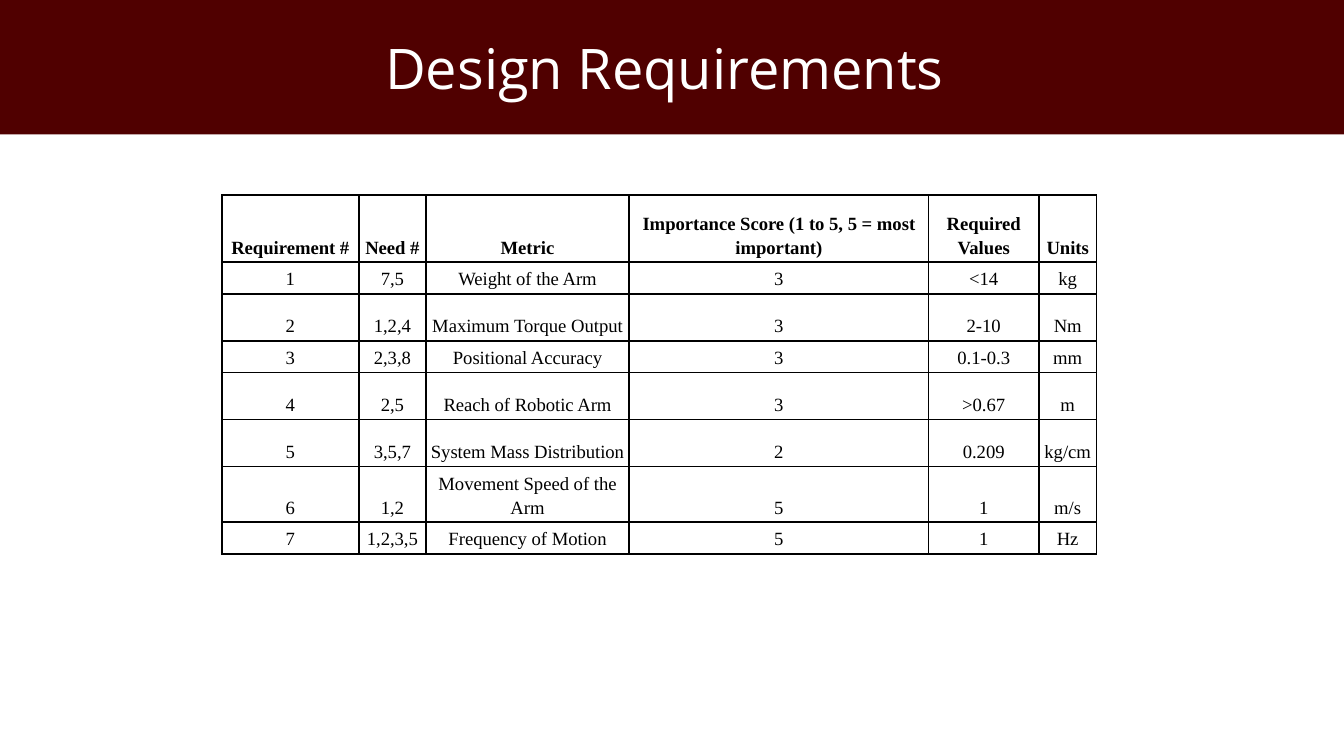
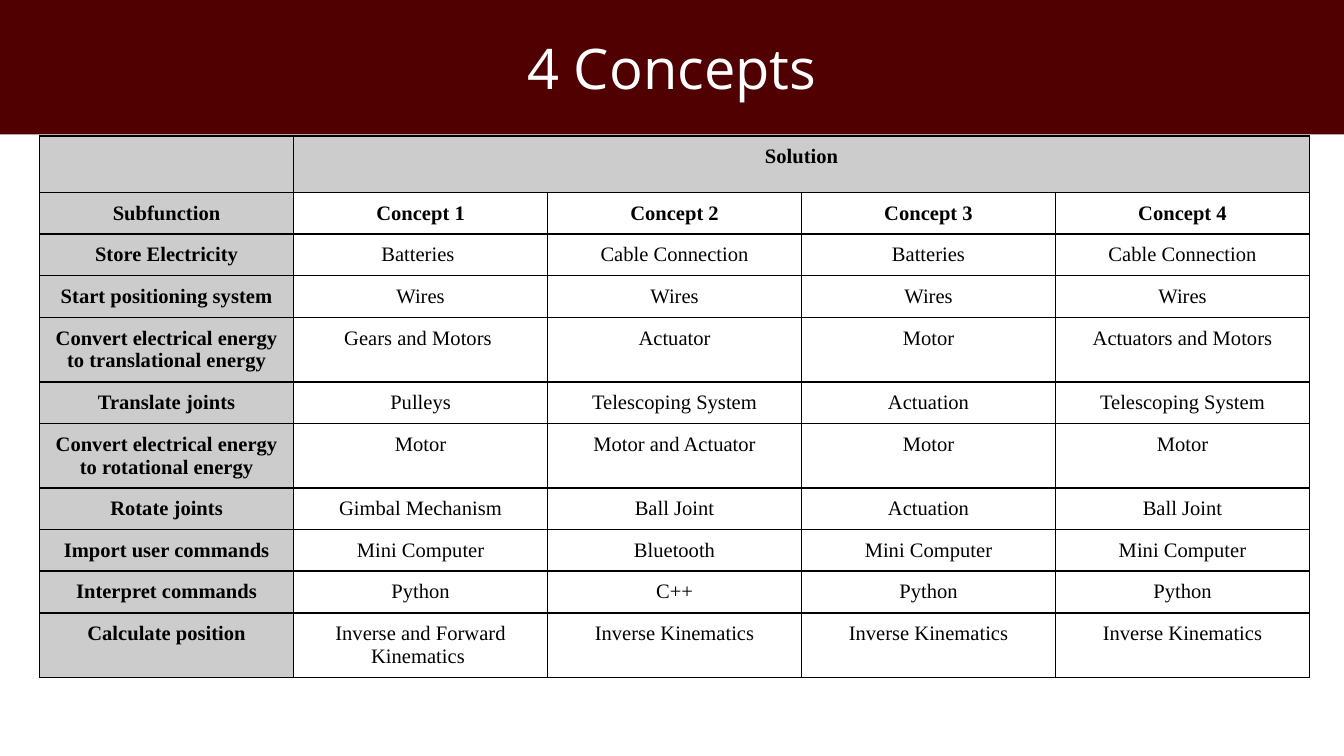
from dataclasses import dataclass

from lxml import etree
from pptx import Presentation
from pptx.dml.color import RGBColor
from pptx.enum.text import MSO_ANCHOR, MSO_AUTO_SIZE, PP_ALIGN
from pptx.oxml.ns import qn
from pptx.util import Inches, Pt

CENTER = PP_ALIGN.CENTER
TOP, MIDDLE, BOTTOM = MSO_ANCHOR.TOP, MSO_ANCHOR.MIDDLE, MSO_ANCHOR.BOTTOM
NO_AUTOFIT = MSO_AUTO_SIZE.NONE
TITLE_ONLY = 5

SLIDE_WIDTH = Inches(10)
SLIDE_HEIGHT = SLIDE_WIDTH * 9 // 16
GRID_UNIT = SLIDE_WIDTH // 100  # square grid, 100 columns across the slide


@dataclass(frozen=True)
class Theme:
    maroon: RGBColor = RGBColor(0x50, 0x00, 0x00)
    white: RGBColor = RGBColor(0xFF, 0xFF, 0xFF)
    black: RGBColor = RGBColor(0x00, 0x00, 0x00)
    gray: RGBColor = RGBColor(0xCC, 0xCC, 0xCC)
    title_font: str = "Open Sans"
    table_font: str = "Times New Roman"
    title_size: int = 30
    band_rows: int = 10


@dataclass(frozen=True)
class TableStyle:
    """Text and border settings of one table; padding is in grid units."""
    size: int
    padding: float
    anchor: MSO_ANCHOR
    border: float
    line_spacing: float = 1.0


THEME = Theme()
REQUIREMENT_STYLE = TableStyle(10, 0.3, BOTTOM, 0.9, 1.15)
CONCEPT_STYLE = TableStyle(11, 0.7, TOP, 1)

REQUIREMENTS = [
    ("Requirement #", "Need #", "Metric",
     "Importance Score (1 to 5, 5 = most important)", "Required Values", "Units"),
    ("1", "7,5", "Weight of the Arm", "3", "<14", "kg"),
    ("2", "1,2,4", "Maximum Torque Output", "3", "2-10", "Nm"),
    ("3", "2,3,8", "Positional Accuracy", "3", "0.1-0.3", "mm"),
    ("4", "2,5", "Reach of Robotic Arm", "3", ">0.67", "m"),
    ("5", "3,5,7", "System Mass Distribution", "2", "0.209", "kg/cm"),
    ("6", "1,2", "Movement Speed of the Arm", "5", "1", "m/s"),
    ("7", "1,2,3,5", "Frequency of Motion", "5", "1", "Hz"),
]
REQUIREMENT_COLUMNS = [10.2, 5, 15.1, 22.3, 8.2, 4.3]
REQUIREMENT_ROWS = [5, 2.3, 3.5, 2.3, 3.5, 3.5, 4.1, 2.3]

CONCEPTS = [
    ("", "Solution", "", "", ""),
    ("Subfunction", "Concept 1", "Concept 2", "Concept 3", "Concept 4"),
    ("Store Electricity", "Batteries ", "Cable Connection", "Batteries",
     "Cable Connection"),
    ("Start positioning system", "Wires", "Wires", "Wires", "Wires"),
    ("Convert electrical energy to translational energy", "Gears and Motors ",
     "Actuator", "Motor", "Actuators and Motors"),
    ("Translate joints", "Pulleys", "Telescoping System", "Actuation",
     "Telescoping System"),
    ("Convert electrical energy to rotational energy", "Motor",
     "Motor and Actuator", "Motor", "Motor"),
    ("Rotate joints", "Gimbal Mechanism", "Ball Joint", "Actuation", "Ball Joint"),
    ("Import user commands", "Mini Computer", "Bluetooth", "Mini Computer",
     "Mini Computer"),
    ("Interpret commands", "Python", "C++", "Python", "Python"),
    ("Calculate position", "Inverse and Forward Kinematics ",
     "Inverse Kinematics", "Inverse Kinematics", "Inverse Kinematics"),
]
CONCEPT_COLUMNS = [18.9] * 5
ONE_LINE, TWO_LINES = 3.08, 4.8
TWO_LINE_ROWS = (4, 6, 10)
CONCEPT_ROWS = [4.2] + [TWO_LINES if row in TWO_LINE_ROWS else ONE_LINE
                        for row in range(1, len(CONCEPTS))]


def grid(units):
    return round(units * GRID_UNIT)


def format_font(font, name, size, color, bold=False):
    font.name = name
    font.size = Pt(size)
    font.color.rgb = color
    font.bold = bold


def add_titled_slide(deck, heading):
    slide = deck.slides.add_slide(deck.slide_layouts[TITLE_ONLY])
    band = slide.shapes.title
    band.left = band.top = 0
    band.width, band.height = SLIDE_WIDTH, grid(THEME.band_rows)
    band.fill.solid()
    band.fill.fore_color.rgb = THEME.maroon
    frame = band.text_frame
    frame.text = heading
    frame.auto_size = NO_AUTOFIT
    frame.word_wrap = True
    frame.vertical_anchor = MIDDLE
    frame.margin_left = frame.margin_right = grid(1)
    frame.margin_top = frame.margin_bottom = grid(1)
    paragraph = frame.paragraphs[0]
    paragraph.alignment = CENTER
    format_font(paragraph.runs[0].font, THEME.title_font, THEME.title_size,
                THEME.white)
    return slide


def add_borders(cell, width):
    properties = cell._tc.get_or_add_tcPr()
    for side in ("a:lnL", "a:lnR", "a:lnT", "a:lnB"):
        line = etree.SubElement(properties, qn(side), w=str(Pt(width)))
        fill = etree.SubElement(line, qn("a:solidFill"))
        etree.SubElement(fill, qn("a:srgbClr"), val=str(THEME.black))


def format_cell(cell, text, style, bold, shaded):
    cell.text = text
    cell.vertical_anchor = style.anchor
    cell.margin_left = cell.margin_right = grid(style.padding)
    cell.margin_top = cell.margin_bottom = grid(style.padding)
    add_borders(cell, style.border)
    if shaded:
        cell.fill.solid()
        cell.fill.fore_color.rgb = THEME.gray
    else:
        cell.fill.background()
    paragraph = cell.text_frame.paragraphs[0]
    paragraph.alignment = CENTER
    paragraph.line_spacing = style.line_spacing
    if not text:
        paragraph.font.size = Pt(style.size)
    for run in paragraph.runs:
        format_font(run.font, THEME.table_font, style.size, THEME.black, bold)


def add_grid_table(slide, left, top, columns, rows, content, style,
                   is_bold, is_shaded):
    """Place a table in grid units; is_bold and is_shaded take (row, column)."""
    table = slide.shapes.add_table(
        len(rows), len(columns), grid(left), grid(top),
        grid(sum(columns)), grid(sum(rows))).table
    table.first_row = table.horz_banding = False
    for column, width in zip(table.columns, columns):
        column.width = grid(width)
    for row, height in zip(table.rows, rows):
        row.height = grid(height)
    for r, values in enumerate(content):
        for c, text in enumerate(values):
            format_cell(table.cell(r, c), text, style, is_bold(r, c),
                        is_shaded(r, c))
    return table


def main():
    deck = Presentation()
    deck.slide_width, deck.slide_height = SLIDE_WIDTH, SLIDE_HEIGHT

    requirements = add_titled_slide(deck, "Design Requirements ")
    add_grid_table(requirements, 16.5, 14.5, REQUIREMENT_COLUMNS,
                   REQUIREMENT_ROWS, REQUIREMENTS, REQUIREMENT_STYLE,
                   is_bold=lambda r, c: r == 0,
                   is_shaded=lambda r, c: False)

    concepts = add_titled_slide(deck, "4 Concepts")
    solutions = add_grid_table(concepts, 2.95, 10.12, CONCEPT_COLUMNS,
                               CONCEPT_ROWS, CONCEPTS, CONCEPT_STYLE,
                               is_bold=lambda r, c: r < 2 or c == 0,
                               is_shaded=lambda r, c: r == 0 or c == 0)
    solutions.cell(0, 1).merge(solutions.cell(0, 4))

    deck.save("out.pptx")


if __name__ == "__main__":
    main()
